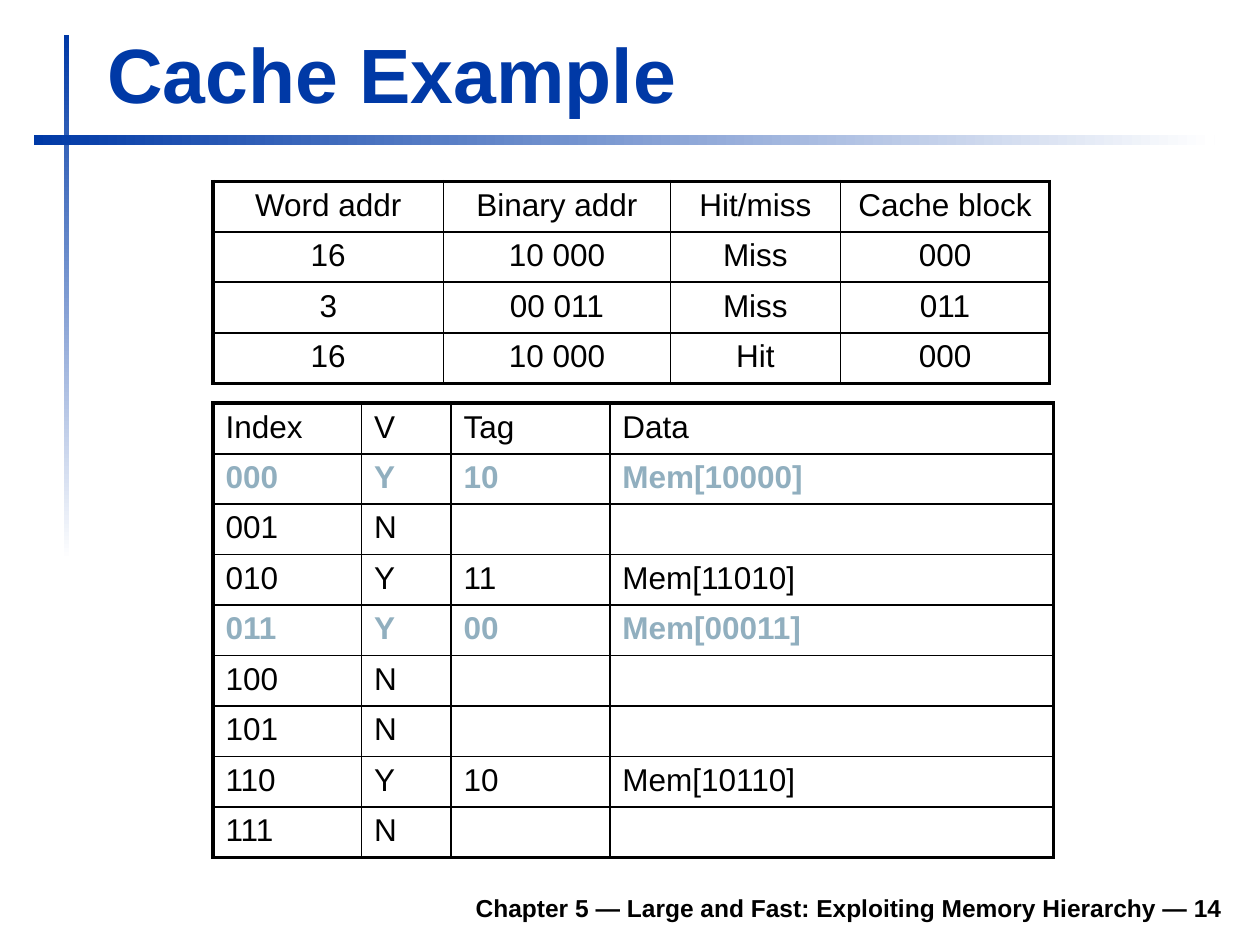
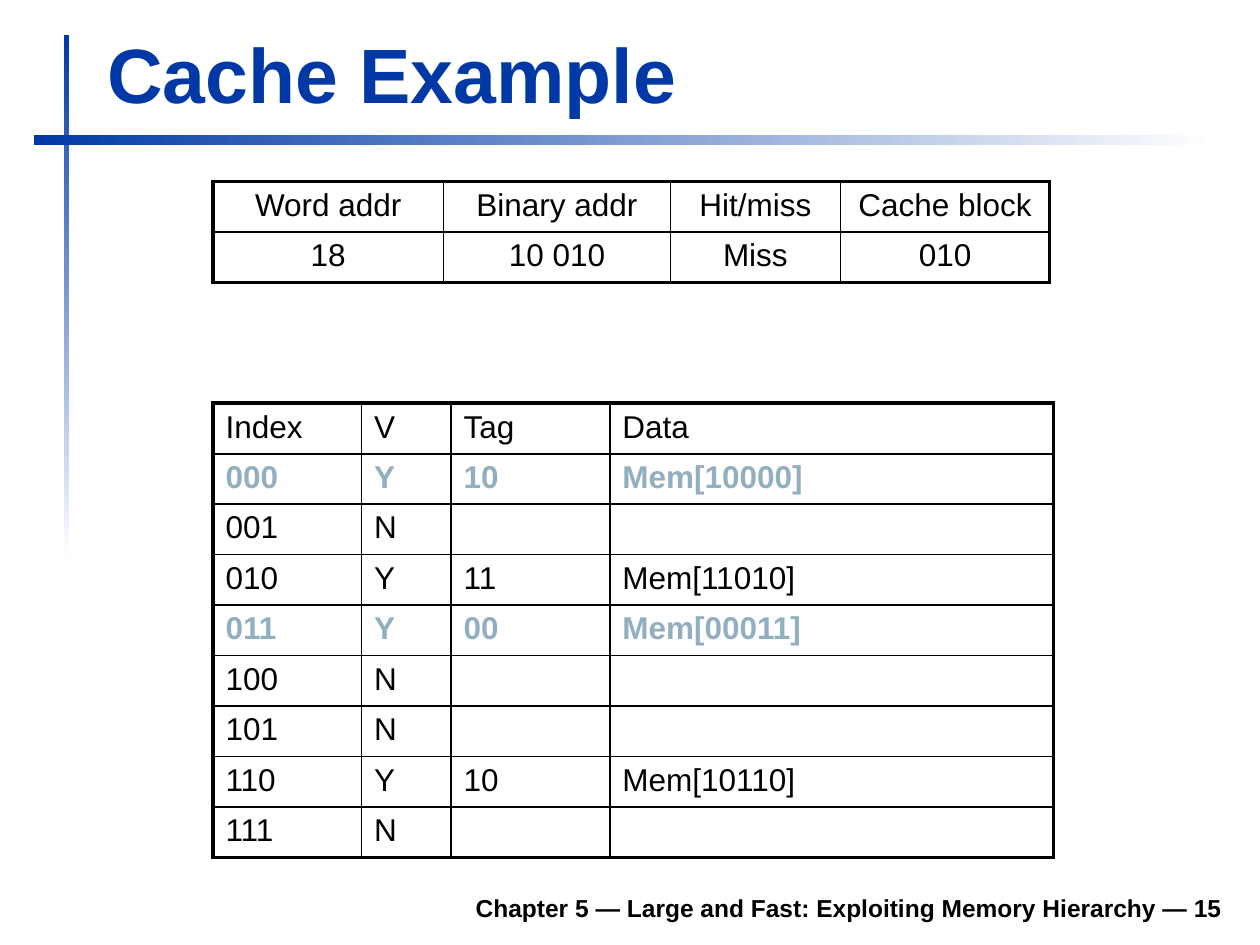
from lxml.etree import SubElement
from pptx import Presentation
from pptx.dml.color import RGBColor
from pptx.enum.shapes import MSO_SHAPE as Shape
from pptx.enum.text import MSO_ANCHOR as Anchor, MSO_AUTO_SIZE as AutoSize, PP_ALIGN as Align
from pptx.oxml.ns import qn
from pptx.util import Inches, Pt

SLIDE_W, SLIDE_H = Inches(10), Inches(7.5)
BLUE = RGBColor(0x00, 0x39, 0xA6)
WHITE = RGBColor(0xFF, 0xFF, 0xFF)
BLACK = RGBColor(0x00, 0x00, 0x00)
FILLED = RGBColor(0x91, 0xAF, 0xBF)
FONT = "Arial"
CHAPTER = "Chapter 5 — Large and Fast: Exploiting Memory Hierarchy"

# Table grid: both tables hang from one left edge, on rows of one height
TABLE_LEFT, TABLE_TOP = Inches(1.69), Inches(1.44)
ROW = Inches(0.4)
CACHE_ROW = 4.4
ACCESS_COLS = (1.83, 1.8, 1.35, 1.66)
CACHE_COLS = (1.18, 0.71, 1.26, 3.52)
OUTER, HEADER, INNER = 2.25, 1.5, 1

ACCESS_HEAD = ("Word addr", "Binary addr", "Hit/miss", "Cache block")
ACCESSES = {
    14: [("16", "10 000", "Miss", "000"),
         ("3", "00 011", "Miss", "011"),
         ("16", "10 000", "Hit", "000")],
    15: [("18", "10 010", "Miss", "010")],
}
CACHE = [
    ("Index", "V", "Tag", "Data"),
    ("000", "Y", "10", "Mem[10000]"),
    ("001", "N", "", ""),
    ("010", "Y", "11", "Mem[11010]"),
    ("011", "Y", "00", "Mem[00011]"),
    ("100", "N", "", ""),
    ("101", "N", "", ""),
    ("110", "Y", "10", "Mem[10110]"),
    ("111", "N", "", ""),
]
FILLED_ROWS = ("000", "011")


def area(left, top, width, height):
    """Turn percentages of the slide into lengths."""
    return (int(SLIDE_W * left / 100), int(SLIDE_H * top / 100),
            int(SLIDE_W * width / 100), int(SLIDE_H * height / 100))


def write(frame, text, size=18, color=BLACK, bold=False, align=Align.LEFT):
    para = frame.paragraphs[0]
    para.alignment = align
    span = para.add_run()
    span.text = text
    span.font.name, span.font.size = FONT, Pt(size)
    span.font.bold, span.font.color.rgb = bold, color


def add_band(page, place, angle):
    band = page.shapes.add_shape(Shape.RECTANGLE, *area(*place))
    band.shadow.inherit = False
    band.line.fill.background()
    band.fill.gradient()
    band.fill.gradient_angle = angle
    for stop, color in zip(band.fill.gradient_stops, (BLUE, WHITE)):
        stop.color.rgb = color
    return band


def set_borders(cell, **widths):
    props = cell._tc.get_or_add_tcPr()
    for side in "LRTB":
        line = SubElement(props, qn(f"a:ln{side}"), w=str(Pt(widths[side])))
        paint = SubElement(line, qn("a:solidFill"))
        SubElement(paint, qn("a:srgbClr"), val=str(BLACK))


def add_grid(page, rows, col_widths, top_row=0, rule=INNER,
             align=Align.LEFT, filled=()):
    """Add a table with a heavy frame, a header rule and lines between rows."""
    widths = [Inches(width) for width in col_widths]
    table = page.shapes.add_table(
        len(rows), len(widths), TABLE_LEFT, int(TABLE_TOP + top_row * ROW),
        sum(widths), ROW * len(rows)).table
    table.first_row = table.horz_banding = False
    for column, width in zip(table.columns, widths):
        column.width = width
    across = [OUTER, HEADER] + [rule] * (len(rows) - 2) + [OUTER]
    down = [OUTER] + [INNER] * (len(widths) - 1) + [OUTER]
    for r, values in enumerate(rows):
        table.rows[r].height = ROW
        marked = values[0] in filled
        for c, value in enumerate(values):
            cell = table.cell(r, c)
            set_borders(cell, L=down[c], R=down[c + 1], T=across[r], B=across[r + 1])
            cell.fill.background()
            if value:
                write(cell.text_frame, value, align=align, bold=marked,
                      color=FILLED if marked else BLACK)


def add_title(page, text):
    title = page.shapes.title
    title.left, title.top, title.width, title.height = area(7.5, 2.13, 90.3, 11.07)
    frame = title.text_frame
    frame.vertical_anchor = Anchor.BOTTOM
    frame.auto_size = AutoSize.SHAPE_TO_FIT_TEXT
    write(frame, text, size=44, color=BLUE, bold=True)


def add_footer(page, number):
    box = page.shapes.add_textbox(*area(18.5, 93.07, 79.5, 5.2))
    box.text_frame.word_wrap = True
    box.text_frame.vertical_anchor = Anchor.BOTTOM
    write(box.text_frame, f"{CHAPTER} — {number}", size=14, bold=True, align=Align.RIGHT)


def main():
    deck = Presentation()
    deck.slide_width, deck.slide_height = SLIDE_W, SLIDE_H
    layout = deck.slide_layouts.get_by_name("Title Only")
    pages = {number: deck.slides.add_slide(layout) for number in ACCESSES}

    # Bands belong to the layout, so every page shows them
    first = pages[14]
    bands = (add_band(first, (5.1, 3.73, 0.4, 55.6), 270),
             add_band(first, (2.7, 14.27, 93.7, 1.07), 0))
    for band in bands:
        layout.shapes.element.append(band.element)

    for number, page in pages.items():
        add_footer(page, number)
        add_title(page, "Cache Example")
        # Accesses above, resulting cache contents below
        add_grid(page, [ACCESS_HEAD, *ACCESSES[number]], ACCESS_COLS,
                 rule=HEADER, align=Align.CENTER)
        add_grid(page, CACHE, CACHE_COLS, top_row=CACHE_ROW, filled=FILLED_ROWS)

    deck.save("out.pptx")


if __name__ == "__main__":
    main()
